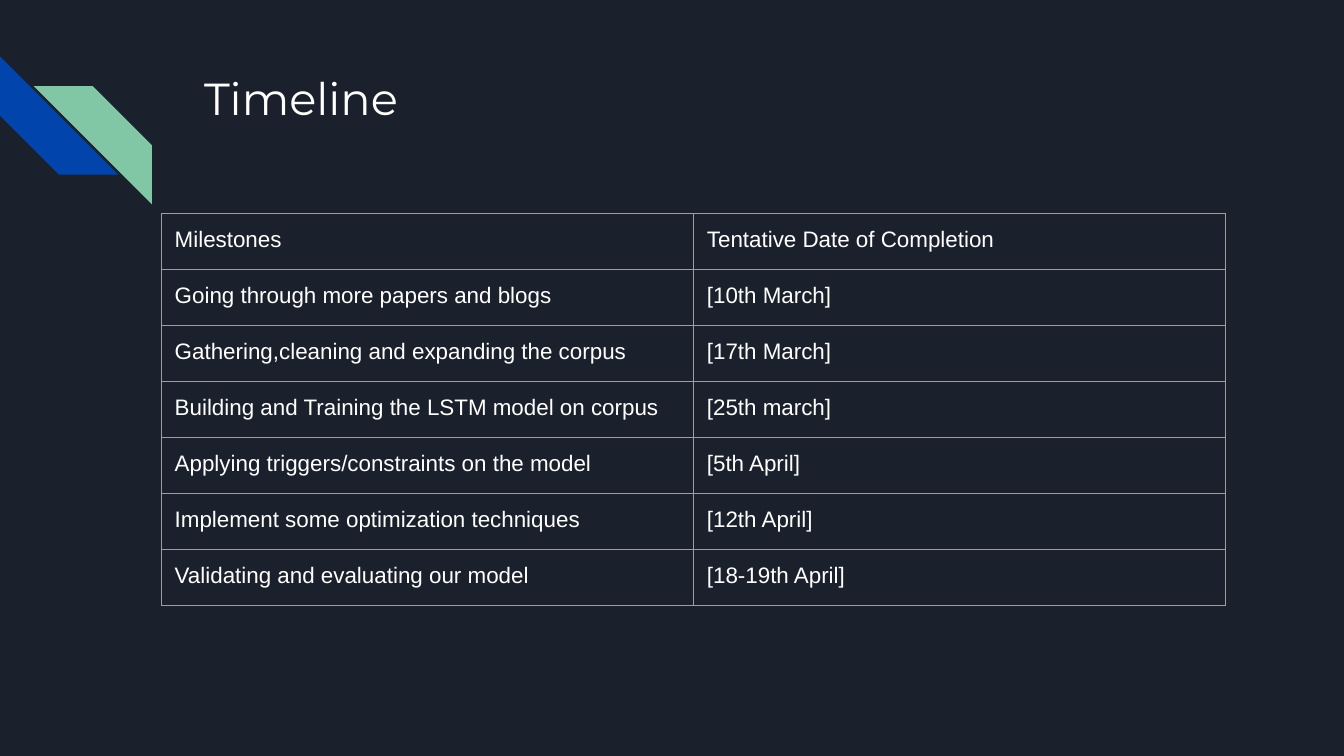
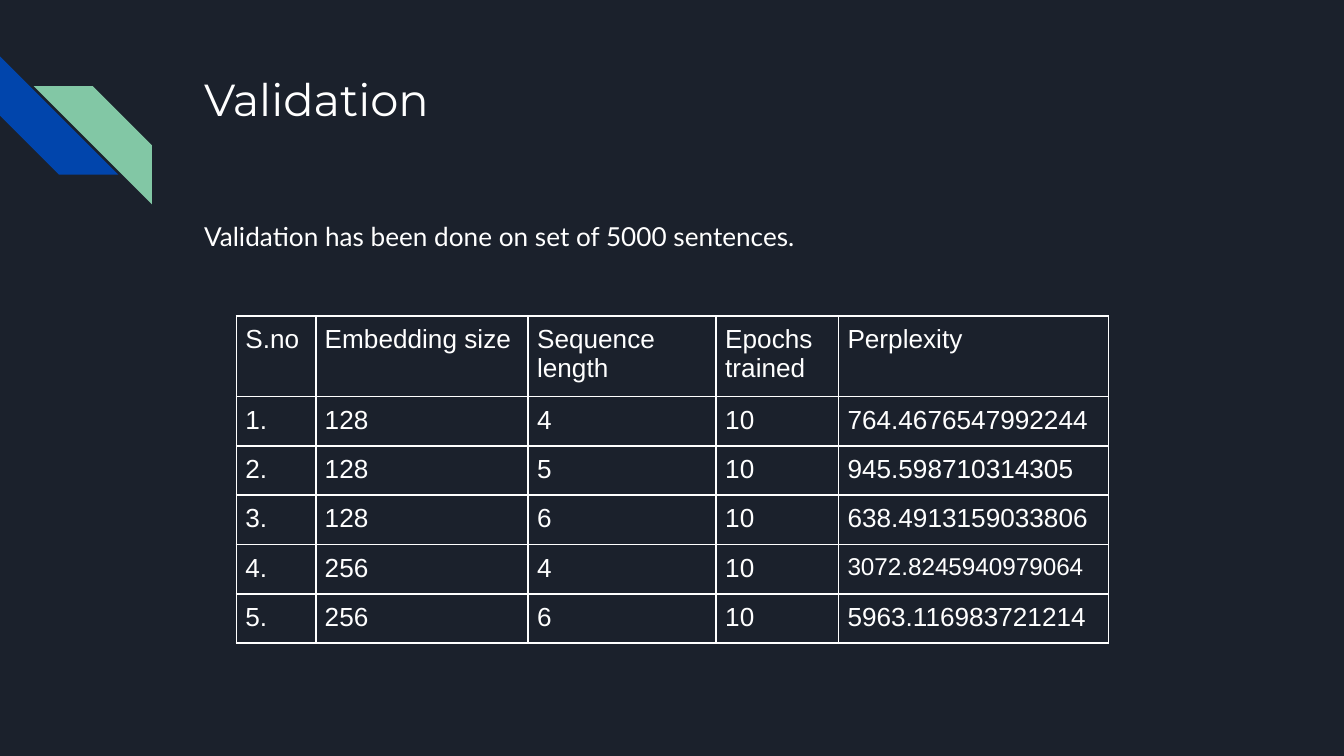
"""Build the timeline and validation slides."""
import pptx
import pptx.util
import pptx.dml.color
import pptx.enum.shapes
import pptx.oxml
import pptx.oxml.ns

Inches = pptx.util.Inches
Pt = pptx.util.Pt

HUES = {"back": "1B212C", "blue": "0145AC", "green": "82C7A5",
        "white": "FFFFFF", "grey": "9E9E9E"}

WIDE = Inches(10)
TALL = WIDE * 9 // 16

STRIPES = [(0, 0.42, 270, "blue"), (0.25, 0.64, 90, "green")]
SIDE = 0.88

PLAN = [
    ("Milestones", "Tentative Date of Completion"),
    ("Going through more papers and blogs", "[10th March]"),
    ("Gathering,cleaning and expanding the corpus", "[17th March]"),
    ("Building and Training the LSTM model on corpus", "[25th march]"),
    ("Applying triggers/constraints on the model", "[5th April]"),
    ("Implement some optimization techniques", "[12th April]"),
    ("Validating and evaluating our model", "[18-19th April]"),
]

SCORES = [
    ("S.no", "Embedding size", "Sequence length", "Epochs trained", "Perplexity"),
    ("1.", "128", "4", "10", "764.4676547992244"),
    ("2.", "128", "5", "10", "945.598710314305"),
    ("3.", "128", "6", "10", "638.4913159033806"),
    ("4.", "256", "4", "10", "3072.8245940979064"),
    ("5.", "256", "6", "10", "5963.116983721214"),
]

SLIDES = [
    {"title": "Timeline", "tall": 1, "note": None,
     "table": {"rows": PLAN, "left": 1.2, "top": 1.59, "cols": [3.96] * 2,
               "high": Pt(30), "pad": Pt(7.2), "size": 12,
               "hue": "grey", "line": 0.75, "small": {}}},
    {"title": "Validation", "tall": 0.71,
     "note": "Validation has been done on set of 5000 sentences.",
     "table": {"rows": SCORES, "left": 1.76, "top": 2.35,
               "cols": [0.59, 1.58, 1.4, 0.91, 2.01],
               "high": Inches(0.01), "pad": Pt(4.8), "size": 14,
               "hue": "white", "line": 1, "small": {(4, 4): 13}}},
]


def tint(name):
    return pptx.dml.color.RGBColor.from_string(HUES[name])


def write(frame, text, size=14, font="Arial", hue="white"):
    frame.word_wrap = True
    run = frame.paragraphs[0].add_run()
    run.text = text
    run.font.size = Pt(size)
    run.font.name = font
    run.font.color.rgb = tint(hue)


def inset(part, pad):
    for side in ("left", "top", "right", "bottom"):
        setattr(part, f"margin_{side}", pad)


def label(slide, text, left, top, wide, tall, **style):
    box = slide.shapes.add_textbox(*map(Inches, (left, top, wide, tall)))
    inset(box.text_frame, Inches(0.1))
    write(box.text_frame, text, **style)


def border(cell, hue, line):
    props = cell._tc.get_or_add_tcPr()
    for spot, side in enumerate("LRTB"):
        props.insert(spot, pptx.oxml.parse_xml(
            f'<a:ln{side} {pptx.oxml.ns.nsdecls("a")} w="{Pt(line)}">'
            f'<a:solidFill><a:srgbClr val="{HUES[hue]}"/></a:solidFill>'
            f'<a:prstDash val="solid"/></a:ln{side}>'))


def grid(slide, rows, left, top, cols, high, pad, size, hue, line, small):
    table = slide.shapes.add_table(
        len(rows), len(cols), Inches(left), Inches(top),
        Inches(sum(cols)), high * len(rows)).table
    table.first_row = table.horz_banding = False
    for col, wide in zip(table.columns, cols):
        col.width = Inches(wide)
    for r, row in enumerate(rows):
        for c, text in enumerate(row):
            cell = table.cell(r, c)
            inset(cell, pad)
            cell.fill.background()
            border(cell, hue, line)
            write(cell.text_frame, text, size=small.get((r, c), size))


def base(deck):
    slide = deck.slides.add_slide(deck.slide_layouts[6])
    slide.background.fill.solid()
    slide.background.fill.fore_color.rgb = tint("back")
    kind = pptx.enum.shapes.MSO_SHAPE.DIAGONAL_STRIPE
    for left, top, turn, hue in STRIPES:
        stripe = slide.shapes.add_shape(
            kind, *map(Inches, (left, top, SIDE, SIDE)))
        stripe.adjustments[0] = 0.5
        stripe.rotation = turn
        stripe.shadow.inherit = False
        stripe.fill.solid()
        stripe.fill.fore_color.rgb = tint(hue)
        stripe.line.fill.background()
    return slide


def main():
    deck = pptx.Presentation()
    deck.slide_width, deck.slide_height = WIDE, TALL
    for page in SLIDES:
        slide = base(deck)
        label(slide, page["title"], 1.42, 0.43, 7.7, page["tall"],
              size=24, font="Montserrat")
        grid(slide, **page["table"])
        if page["note"]:
            label(slide, page["note"], 1.42, 1.54, 7.16, 0.44, font="Lato")
    deck.save("out.pptx")


if __name__ == "__main__":
    main()
